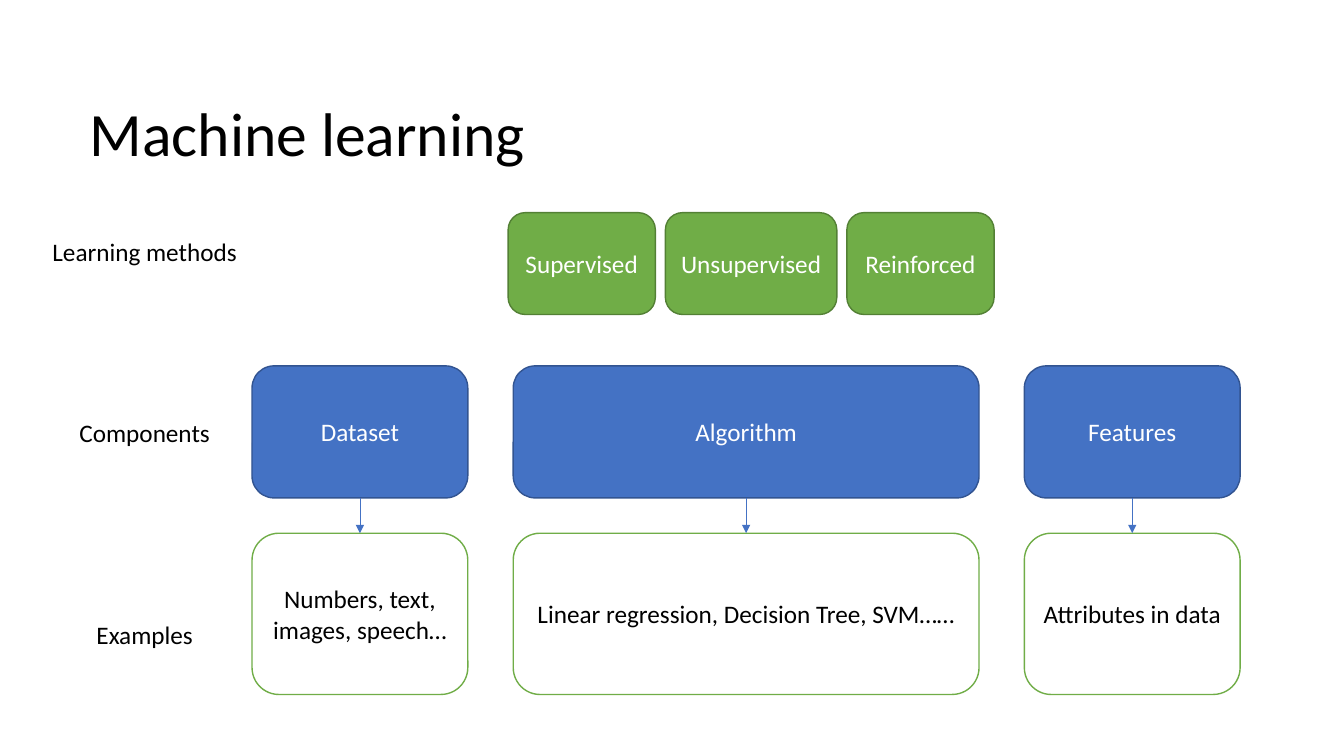
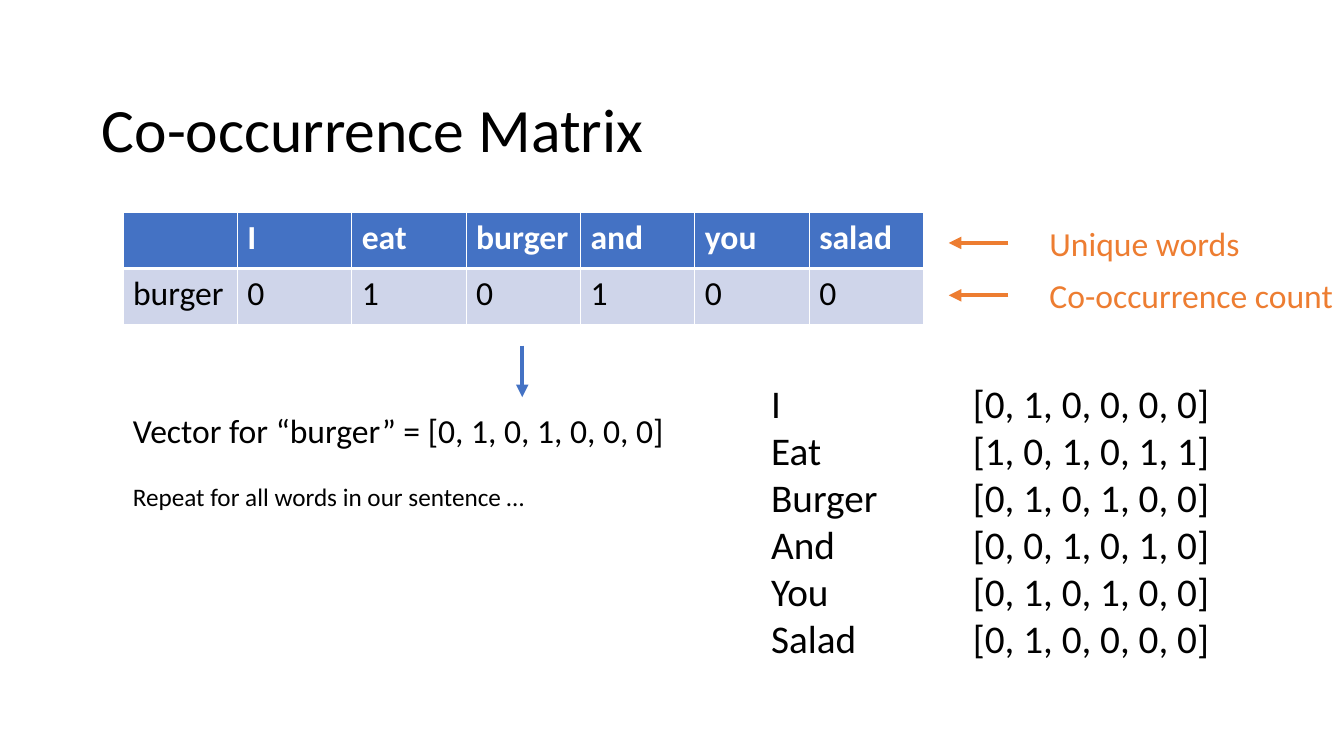
from dataclasses import dataclass
from lxml import etree
from pptx import Presentation
from pptx.dml.color import RGBColor
from pptx.enum.shapes import MSO_CONNECTOR as CONN, MSO_SHAPE as SHAPE
from pptx.enum.text import MSO_ANCHOR as ANCHOR, PP_ALIGN as ALIGN
from pptx.oxml.ns import qn
from pptx.util import Inches, Pt


@dataclass(frozen=True)
class Theme:
    font: str = "Calibri"
    black: str = "000000"
    white: str = "FFFFFF"
    blue: str = "4472C4"
    blue_edge: str = "325491"
    green: str = "70AD47"
    green_edge: str = "538035"
    orange: str = "ED7D31"
    band: str = "CFD5EA"
    title: int = 44
    vectors: int = 28
    large: int = 24
    base: int = 18


T = Theme()
WIDTH, HEIGHT = 13.33, 7.5

METHODS = [("Supervised", 1.46), ("Unsupervised", 1.7), ("Reinforced", 1.46)]
COLUMNS = [
    ("Dataset", "Numbers, text, images, speech…", 2.14),
    ("Algorithm", "Linear regression, Decision Tree, SVM……", 4.62),
    ("Features", "Attributes in data", 2.14),
]
ROW_LABELS = [("Learning methods", 2.3), ("Components", 4.09), ("Examples", 6.09)]

MATRIX = [
    ["", "I", "eat", "burger", "and", "you", "salad"],
    ["burger", "0", "1", "0", "1", "0", "0"],
]
NOTES = ["Unique words", "Co-occurrence count"]
VECTORS = [
    ("I", "[0, 1, 0, 0, 0, 0]"),
    ("Eat", "[1, 0, 1, 0, 1, 1]"),
    ("Burger", "[0, 1, 0, 1, 0, 0]"),
    ("And", "[0, 0, 1, 0, 1, 0]"),
    ("You", "[0, 1, 0, 1, 0, 0]"),
    ("Salad", "[0, 1, 0, 0, 0, 0]"),
]


def rgb(color):
    return RGBColor.from_string(color)


def inches(*values):
    return [Inches(v) for v in values]


def write(p, text, size=T.base, color=T.black, bold=False, align=ALIGN.LEFT):
    p.alignment = align
    r = p.add_run()
    r.text = text
    r.font.name, r.font.size, r.font.bold = T.font, Pt(size), bold
    r.font.color.rgb = rgb(color)


def add_slide(prs, title, box):
    slide = prs.slides.add_slide(prs.slide_layouts[5])
    sp = slide.shapes.title
    sp.left, sp.top, sp.width, sp.height = inches(*box)
    sp.text_frame.vertical_anchor = ANCHOR.MIDDLE
    p = sp.text_frame.paragraphs[0]
    p.line_spacing = 0.9
    write(p, title, T.title)
    return slide


def add_text(slide, box, lines, wrap=True, **style):
    tf = slide.shapes.add_textbox(*inches(*box)).text_frame
    tf.word_wrap = wrap
    for i, (text, size) in enumerate(lines):
        p = tf.add_paragraph() if i else tf.paragraphs[0]
        write(p, text, size, **style)
    return tf


def add_box(slide, box, text, fill, edge, color):
    sp = slide.shapes.add_shape(SHAPE.ROUNDED_RECTANGLE, *inches(*box))
    sp.shadow.inherit = False
    sp.fill.solid()
    sp.fill.fore_color.rgb = rgb(fill)
    sp.line.color.rgb = rgb(edge)
    sp.line.width = Pt(1)
    tf = sp.text_frame
    tf.word_wrap = True
    tf.vertical_anchor = ANCHOR.MIDDLE
    write(tf.paragraphs[0], text, color=color, align=ALIGN.CENTER)
    return sp


def add_arrow(slide, ends, color, width):
    c = slide.shapes.add_connector(CONN.STRAIGHT, *inches(*ends))
    c.line.color.rgb = rgb(color)
    c.line.width = Pt(width)
    etree.SubElement(c.line._get_or_add_ln(), qn("a:tailEnd"), type="triangle")
    etree.SubElement(c._element.spPr, qn("a:effectLst"))
    return c


def style_cell(cell, fill, bottom):
    tc_pr = cell._tc.get_or_add_tcPr()
    for side, width in (("L", 1), ("R", 1), ("T", 1), ("B", bottom)):
        ln = etree.SubElement(tc_pr, qn(f"a:ln{side}"), w=str(Pt(width)))
        solid = etree.SubElement(ln, qn("a:solidFill"))
        etree.SubElement(solid, qn("a:srgbClr"), val=T.white)
    cell.fill.solid()
    cell.fill.fore_color.rgb = rgb(fill)


def learning_slide(prs):
    slide = add_slide(prs, "Machine learning", (0.79, 0.78, 11.5, 1.15))
    x, gap = 5.04, 0.1
    for name, w in METHODS:
        add_box(slide, (x, 2.11, w, 1.01), name, T.green, T.green_edge, T.white)
        x += w + gap

    x, gap = 2.5, 0.45
    for component, example, w in COLUMNS:
        upper = add_box(slide, (x, 3.63, w, 1.31), component, T.blue, T.blue_edge, T.white)
        lower = add_box(slide, (x, 5.29, w, 1.6), example, T.white, T.green, T.black)
        arrow = add_arrow(slide, (x, 4.94, x, 5.29), T.blue, 0.5)
        arrow.begin_connect(upper, 2)
        arrow.end_connect(lower, 0)
        x += w + gap

    for label, y in ROW_LABELS:
        add_text(slide, (0.41, y, 2.05, 0.4), [(label, T.base)], align=ALIGN.CENTER)


def matrix_slide(prs):
    slide = add_slide(prs, "Co-occurrence Matrix", (0.91, 0.69, 11.5, 1.24))
    x, y, w, h = 1.22, 2.11, 7.94, 1.11
    rows, cols = len(MATRIX), len(MATRIX[0])
    table = slide.shapes.add_table(rows, cols, *inches(x, y, w, h)).table
    for i, row in enumerate(MATRIX):
        head = i == 0
        for j, text in enumerate(row):
            cell = table.cell(i, j)
            style_cell(cell, T.blue if head else T.band, 3 if head else 1)
            if text:
                write(cell.text_frame.paragraphs[0], text, T.large,
                      T.white if head else T.black, head)

    for i, note in enumerate(NOTES):
        mid = 2.41 + 0.52 * i
        add_arrow(slide, (10, mid, 9.41, mid), T.orange, 3)
        add_text(slide, (10.31, mid - 0.25, WIDTH - 10.31, 0.5),
                 [(note, T.large)], wrap=False, color=T.orange)

    add_arrow(slide, (5.18, 3.43, 5.18, 3.94), T.blue, 3)
    tf = add_text(slide, (x, 4.02, 6.3, 1.11), [
        ("Vector for “burger” = [0, 1, 0, 1, 0, 0, 0]", T.large),
        ("Repeat for all words in our sentence …", T.base),
    ])
    tf.paragraphs[1].space_before = Pt(22)

    tf = add_text(slide, (7.55, 3.71, WIDTH - 7.55, 3.4),
                  [(f"{word}\t{vector}", T.vectors) for word, vector in VECTORS])
    for p in tf.paragraphs:
        tabs = etree.SubElement(p._p.get_or_add_pPr(), qn("a:tabLst"))
        etree.SubElement(tabs, qn("a:tab"), pos=str(Inches(2)), algn="l")


def main():
    prs = Presentation()
    prs.slide_width, prs.slide_height = inches(WIDTH, HEIGHT)
    learning_slide(prs)
    matrix_slide(prs)
    prs.save("out.pptx")


if __name__ == "__main__":
    main()
